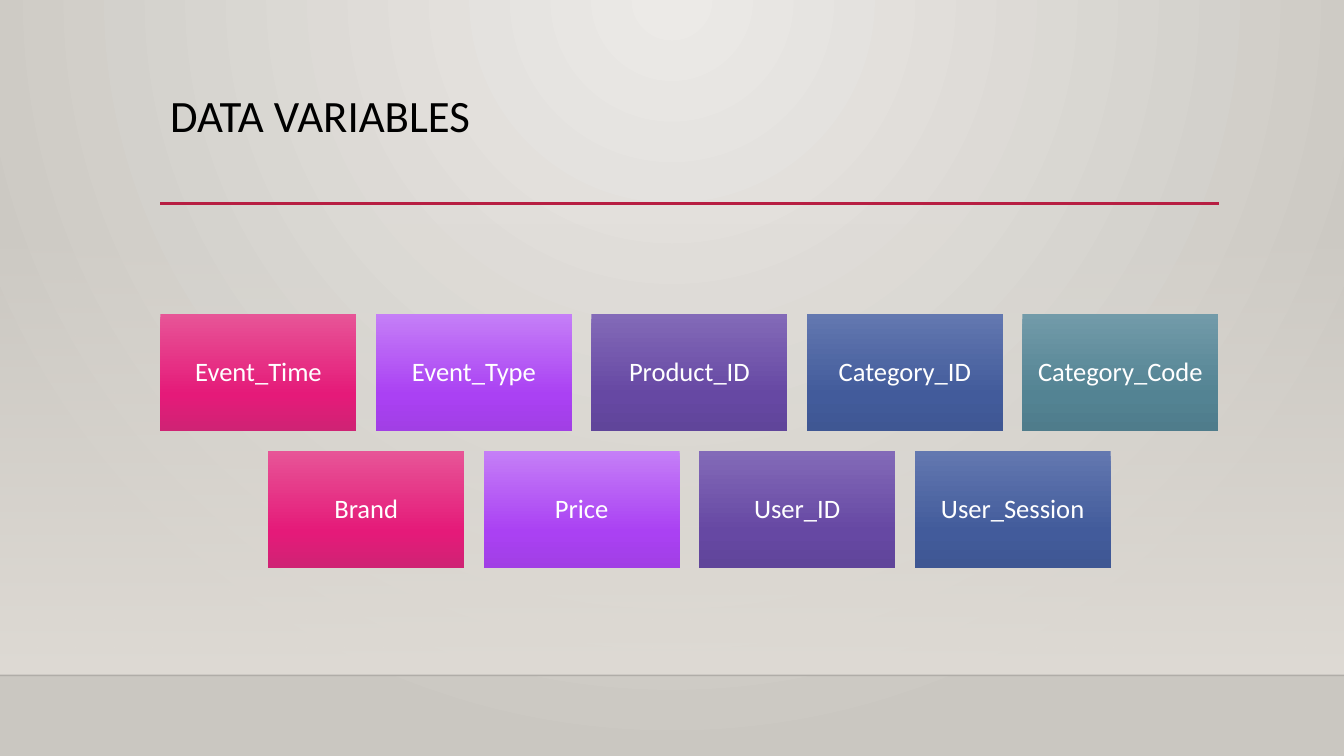
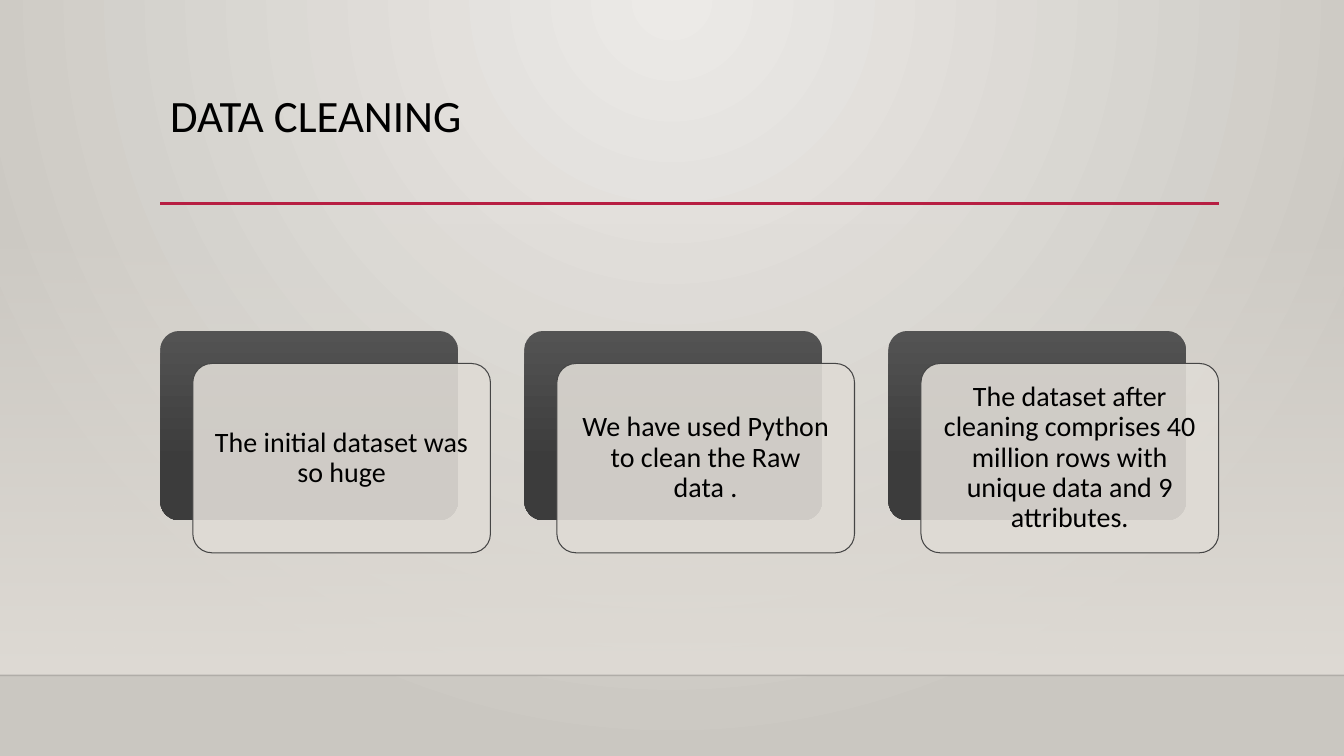
from dataclasses import dataclass

from lxml import etree
from pptx import Presentation
from pptx import util as u
from pptx.dml.color import RGBColor
from pptx.enum import shapes, text
from pptx.oxml import parse_xml
from pptx.oxml.ns import nsdecls, qn
from pptx.util import Cm

SLIDE_W, SLIDE_H = 33.87, 19.05
LEFT, WIDTH = 4.04, 26.67  # content column, in cm
HORIZON = 17.02
FONT = "Calibri"
BLACK, WHITE, ACCENT, WALL = "000000", "FFFFFF", "B71E42", "DFDBD5"


@dataclass(frozen=True)
class Stop:
    pos: int
    color: str
    alpha: int = 100


@dataclass(frozen=True)
class Box:
    x: float
    y: float
    w: float
    h: float


def shades(top: str, middle: str, bottom: str) -> list[Stop]:
    return [Stop(0, top), Stop(69, middle), Stop(100, bottom)]


TILE_SHADES = [
    shades("E75597", "E51A79", "CF2374"),
    shades("C57FF7", "AA41F3", "A13FE5"),
    shades("836AB8", "6648A3", "60459A"),
    shades("6378B0", "425B9B", "3F5793"),
    shades("729BA9", "538393", "4F7C8B"),
]
CARD_SHADES = shades("535353", "3C3C3C", "393939")

TILE_ROWS = [
    ["Event_Time", "Event_Type", "Product_ID", "Category_ID", "Category_Code"],
    ["Brand", "Price", "User_ID", "User_Session"],
]
CARDS = [
    "The initial dataset was so huge",
    "We have used Python to clean the Raw data .",
    "The dataset after cleaning comprises 40 million rows with unique data and 9 attributes.",
]


def rgb(color: str) -> RGBColor:
    return RGBColor.from_string(color)


def set_alpha(parent, percent: int) -> None:
    """Make the first solid colour under parent translucent."""
    clr = next(parent.iter(qn("a:srgbClr")))
    etree.SubElement(clr, qn("a:alpha")).set("val", str(percent * 1000))


def set_gradient(fill, parent, stops: list[Stop], radial: bool = False) -> None:
    """Fill with a top-down gradient, or one spreading from the top centre."""
    fill.gradient()
    old = next(parent.iter(qn("a:gradFill")))
    gs = "".join(
        f'<a:gs pos="{s.pos * 1000}"><a:srgbClr val="{s.color}">'
        f'<a:alpha val="{s.alpha * 1000}"/></a:srgbClr></a:gs>'
        for s in stops
    )
    direction = (
        '<a:path path="circle"><a:fillToRect l="43000" t="0" r="43000" b="100000"/></a:path>'
        if radial
        else '<a:lin ang="5400000" scaled="0"/>'
    )
    old.getparent().replace(old, parse_xml(
        f'<a:gradFill {nsdecls("a")} rotWithShape="1">'
        f"<a:gsLst>{gs}</a:gsLst>{direction}</a:gradFill>"
    ))


def add_box(s, box: Box, stops: list[Stop] | None = None, rounded: bool = False):
    kind = shapes.MSO_SHAPE.ROUNDED_RECTANGLE if rounded else shapes.MSO_SHAPE.RECTANGLE
    sp = s.shapes.add_shape(kind, Cm(box.x), Cm(box.y), Cm(box.w), Cm(box.h))
    sp.shadow.inherit = False
    sp.line.fill.background()
    if rounded:
        sp.adjustments[0] = 0.1
    if stops:
        set_gradient(sp.fill, sp.element.spPr, stops)
    return sp


def add_rule(s, x: float, y: float, w: float, color: str, weight: float):
    ln = s.shapes.add_connector(
        shapes.MSO_CONNECTOR.STRAIGHT, Cm(x), Cm(y), Cm(x + w), Cm(y))
    ln.line.color.rgb = rgb(color)
    ln.line.width = u.Pt(weight)
    etree.SubElement(ln.element.spPr, qn("a:effectLst"))
    return ln


def write(sp, words: str, size: float, color: str, inset: float,
          align=text.PP_ALIGN.CENTER, anchor=text.MSO_ANCHOR.MIDDLE) -> None:
    tf = sp.text_frame
    tf.text = words
    tf.word_wrap = True
    tf.auto_size = text.MSO_AUTO_SIZE.NONE
    tf.vertical_anchor = anchor
    tf.margin_left = tf.margin_right = tf.margin_top = tf.margin_bottom = Cm(inset)
    p = tf.paragraphs[0]
    p.alignment = align
    p.line_spacing = 0.9
    p.font.name, p.font.size = FONT, u.Pt(size)
    p.font.color.rgb = rgb(color)


def add_slide(prs, title: str):
    """Slide with the wall, horizon, title and title rule."""
    s = prs.slides.add_slide(prs.slide_layouts[5])
    wall_top = 5.61
    add_box(s, Box(0, wall_top, SLIDE_W, HORIZON - wall_top),
            [Stop(0, WALL, 0), Stop(100, WALL)])
    horizon = add_rule(s, 0, HORIZON, SLIDE_W, BLACK, 1)
    set_alpha(horizon.element.spPr, 20)
    add_rule(s, LEFT, 5.13, WIDTH, ACCENT, 2.5)

    t = s.shapes.title
    t.left, t.top, t.width, t.height = Cm(LEFT), Cm(2.24), Cm(WIDTH), Cm(2.92)
    write(t, title, 32, BLACK, 0.25, text.PP_ALIGN.LEFT, text.MSO_ANCHOR.TOP)
    t.text_frame.margin_top = Cm(0.13)
    return s


def add_tiles(s) -> None:
    """Rows of coloured tiles, each row centred in the column."""
    w, h, gap, top = 4.94, 2.96, 0.49, 7.91
    for i, row in enumerate(TILE_ROWS):
        row_w = len(row) * (w + gap) - gap
        x = LEFT + (WIDTH - row_w) / 2
        for j, name in enumerate(row):
            box = Box(x + j * (w + gap), top + i * (h + gap), w, h)
            write(add_box(s, box, TILE_SHADES[j]), name, 19, WHITE, 0.2)


def add_cards(s) -> None:
    """Translucent text cards, each set off from a dark card behind it."""
    w, h, top, shift = 7.5, 4.77, 8.34, 0.82
    pitch = (WIDTH - shift - w) / (len(CARDS) - 1)
    for i, words in enumerate(CARDS):
        x = LEFT + i * pitch
        add_box(s, Box(x, top, w, h), CARD_SHADES, rounded=True)
        front = add_box(s, Box(x + shift, top + shift, w, h), rounded=True)
        front.fill.solid()
        front.fill.fore_color.rgb = rgb(WALL)
        set_alpha(front.element.spPr, 90)
        front.line.color.rgb = rgb("454545")
        front.line.width = u.Pt(0.75)
        write(front, words, 20, BLACK, 0.34)


def main() -> None:
    prs = Presentation()
    prs.slide_width, prs.slide_height = Cm(SLIDE_W), Cm(SLIDE_H)
    master = prs.slide_master
    set_gradient(master.background.fill, master.element,
                 [Stop(0, "ECEAE7"), Stop(100, "CAC7C1")], radial=True)

    add_tiles(add_slide(prs, "DATA VARIABLES"))
    add_cards(add_slide(prs, "DATA CLEANING"))
    prs.save("out.pptx")


if __name__ == "__main__":
    main()
